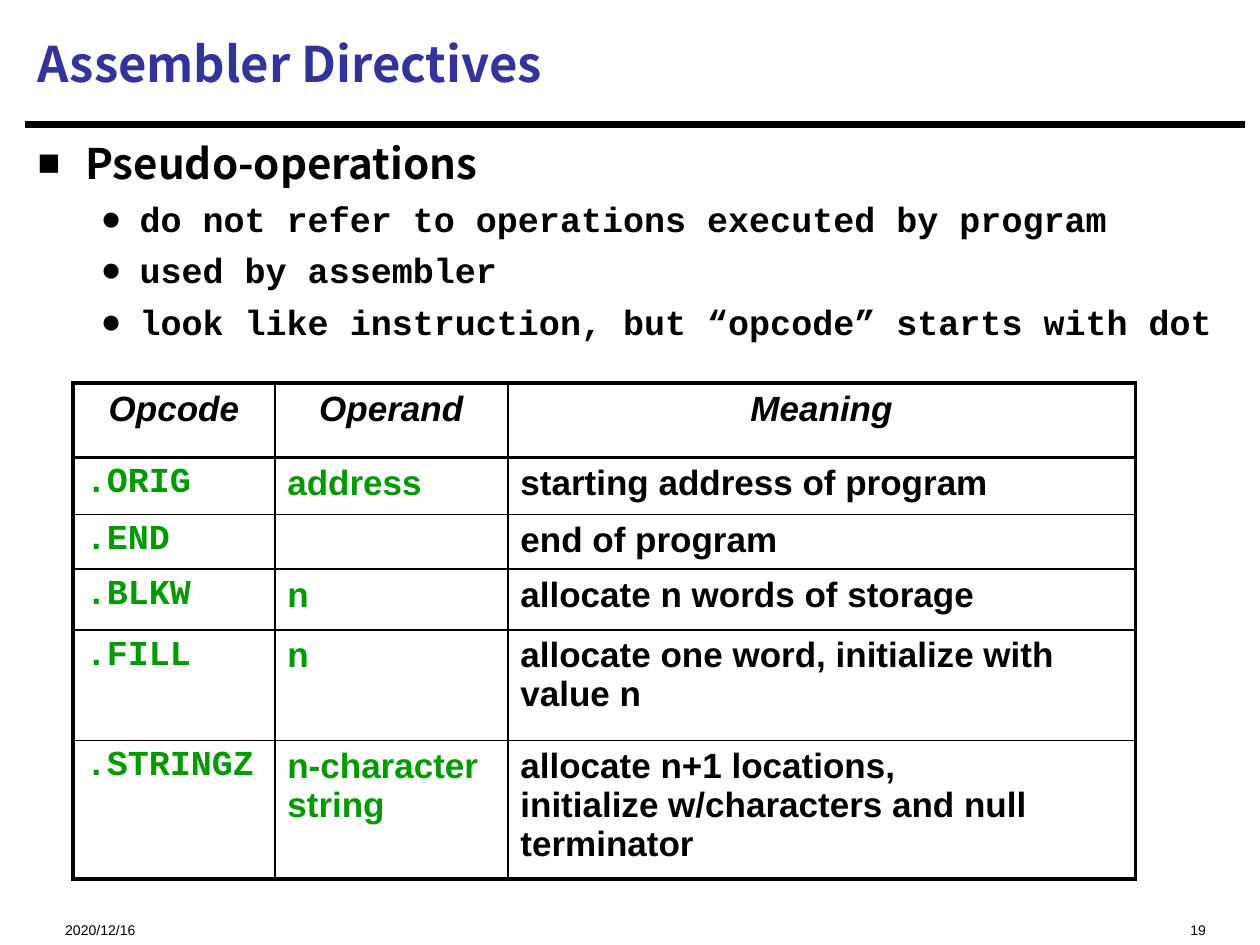
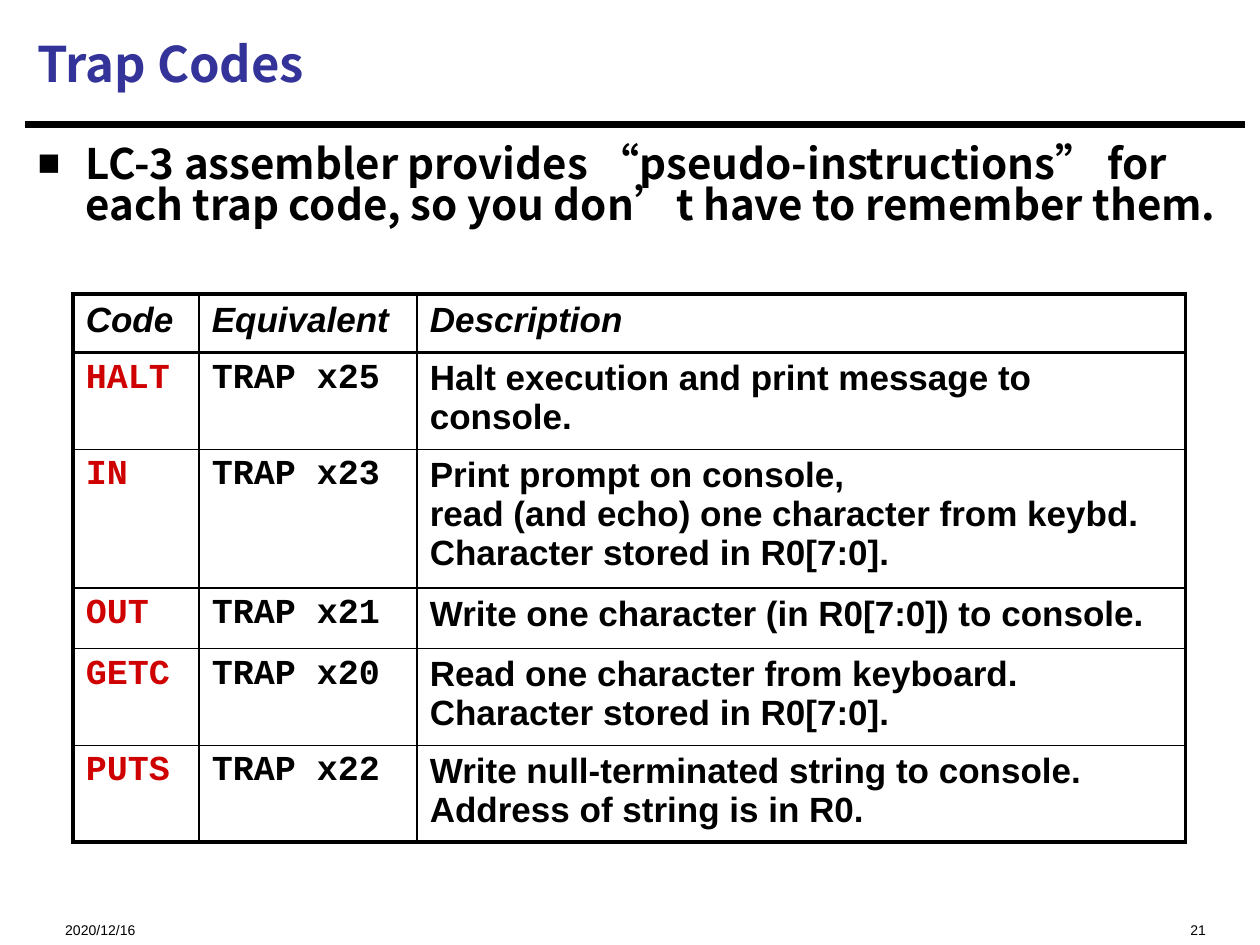
from pptx import Presentation
from pptx.dml.color import RGBColor
from pptx.enum.shapes import MSO_CONNECTOR
from pptx.enum.text import MSO_ANCHOR, PP_ALIGN
from pptx.oxml.ns import qn
from pptx.util import Pt
from lxml import etree

LEFT, CENTER, RIGHT = PP_ALIGN.LEFT, PP_ALIGN.CENTER, PP_ALIGN.RIGHT
TOP, MIDDLE = MSO_ANCHOR.TOP, MSO_ANCHOR.MIDDLE
STRAIGHT = MSO_CONNECTOR.STRAIGHT

COLORS = {"black": "000000", "title": "333399", "directive": "009900", "trap": "CE0000"}
HEADING_FONT, SANS, MONO = "Noto Sans CJK SC", "Arial", "Courier New"
THICK, THIN = 2.25, 1

# Bullet levels: symbol, size %, left margin, hanging indent, font, size, space before, line spacing
LEVELS = [
    ("■", 90, 27.4, 27.4, HEADING_FONT, 24, 5, 0.82),
    ("●", 100, 58.3, 22.3, MONO, 20, 5.5, 1.0),
]


class LectureDeck:
    def __init__(self):
        self.deck = Presentation()
        self.deck.slide_width, self.deck.slide_height = Pt(720), Pt(540)
        self.page = None

    def add_page(self, title, number):
        """Start a slide with the shared rule, footer and title."""
        self.page = self.deck.slides.add_slide(self.deck.slide_layouts[6])
        self.rule(14.4, 71.3, 711.4)
        self.label("2020/12/16", (30.2, 514.8, 180, 19.4), LEFT)
        self.label(number, (480.2, 514.8, 216, 19.4), RIGHT)
        frame = self.text_box((14.4, 5.8, 696.2, 60.5), MIDDLE)
        self.add_text(frame.paragraphs[0], title, HEADING_FONT, 28, "title", bold=True)

    def rule(self, left, top, right):
        line = self.page.shapes.add_connector(STRAIGHT, Pt(left), Pt(top), Pt(right), Pt(top))
        line.line.color.rgb = RGBColor.from_string(COLORS["black"])
        line.line.width = Pt(3.75)
        etree.SubElement(line._element.spPr, qn("a:effectLst"))

    def text_box(self, bounds, anchor=TOP, inset_top=3.6, inset_bottom=3.6):
        box = self.page.shapes.add_textbox(*map(Pt, bounds))
        frame = box.text_frame
        frame.word_wrap = True
        frame.vertical_anchor = anchor
        frame.margin_top, frame.margin_bottom = Pt(inset_top), Pt(inset_bottom)
        return frame

    def label(self, text, bounds, align):
        frame = self.text_box(bounds, inset_top=13.5, inset_bottom=0)
        frame.paragraphs[0].alignment = align
        self.add_text(frame.paragraphs[0], text, SANS, 8, "black")

    def add_text(self, para, text, font, size, color, bold=False, italic=False):
        """Add one run per line, with line breaks in between."""
        for index, line in enumerate(text.split("\n")):
            if index:
                para.add_line_break()
            span = para.add_run()
            span.text = line
            span.font.name, span.font.size = font, Pt(size)
            span.font.bold, span.font.italic = bold, italic
            span.font.color.rgb = RGBColor.from_string(COLORS[color])
            etree.SubElement(span._r.get_or_add_rPr(), qn("a:ea"), typeface=font)

    def bullets(self, items, height):
        frame = self.text_box((14.4, 77, 696.2, height), inset_top=6.6)
        for index, (level, text) in enumerate(items):
            symbol, percent, margin, hang, font, size, before, spacing = LEVELS[level]
            para = frame.add_paragraph() if index else frame.paragraphs[0]
            para.level = level
            para.line_spacing = spacing
            if index:
                para.space_before = Pt(before)
            props = para._p.get_or_add_pPr()
            props.set("marL", str(Pt(margin)))
            props.set("indent", str(-Pt(hang)))
            etree.SubElement(props, qn("a:buSzPct"), val=str(percent * 1000))
            etree.SubElement(props, qn("a:buFont"), typeface=SANS)
            etree.SubElement(props, qn("a:buChar"), char=symbol)
            self.add_text(para, text, font, size, "black", bold=True)

    def table(self, top, widths, heights, rows, column_styles, header_align):
        shape = self.page.shapes.add_table(len(rows), len(widths), Pt(41.8), Pt(top),
                                           Pt(sum(widths)), Pt(sum(heights)))
        grid = shape.table
        grid.first_row = grid.horz_banding = False
        for column, width in zip(grid.columns, widths):
            column.width = Pt(width)
        for row, height in zip(grid.rows, heights):
            row.height = Pt(height)
        last_row, last_column = len(rows) - 1, len(widths) - 1
        for r, texts in enumerate(rows):
            for c, text in enumerate(texts):
                cell = grid.cell(r, c)
                font, color = column_styles[c] if r else (SANS, "black")
                para = cell.text_frame.paragraphs[0]
                para.alignment = LEFT if r else header_align
                if text:
                    self.add_text(para, text, font, 20, color, bold=True, italic=r == 0)
                # Thick frame and header rule, thin inner lines
                self.borders(cell, {"L": c == 0, "R": c == last_column,
                                    "T": r <= 1, "B": r in (0, last_row)})
                cell.fill.background()

    def borders(self, cell, thick_sides):
        props = cell._tc.get_or_add_tcPr()
        for side, thick in thick_sides.items():
            width = Pt(THICK if thick else THIN)
            line = etree.SubElement(props, qn("a:ln" + side), w=str(width))
            fill = etree.SubElement(line, qn("a:solidFill"))
            etree.SubElement(fill, qn("a:srgbClr"), val=COLORS["black"])


def main():
    lecture = LectureDeck()

    # Assembler directives
    lecture.add_page("Assembler Directives", "19")
    lecture.bullets([
        (0, "Pseudo-operations"),
        (1, "do not refer to operations executed by program"),
        (1, "used by assembler"),
        (1, "look like instruction, but “opcode” starts with dot"),
    ], 141.8)
    lecture.table(218.9, [115.2, 133.2, 358.6], [42.5, 32.6, 31, 34.7, 63.2, 79.2], [
        ("Opcode", "Operand", "Meaning"),
        (".ORIG", "address", "starting address of program"),
        (".END", "", "end of program"),
        (".BLKW", "n", "allocate n words of storage"),
        (".FILL", "n", "allocate one word, initialize with value n"),
        (".STRINGZ", "n-character\nstring",
         "allocate n+1 locations,\ninitialize w/characters and null terminator"),
    ], [(MONO, "directive"), (SANS, "directive"), (SANS, "black")], CENTER)

    # Trap codes
    lecture.add_page("Trap Codes", "21")
    lecture.bullets([
        (0, "LC-3 assembler provides “pseudo-instructions” for\n"
            "each trap code, so you don’t have to remember them."),
    ], 431.3)
    lecture.table(168, [72, 124.6, 439.2], [33.5, 55.3, 79.2, 34.6, 55.3, 55.3], [
        ("Code", "Equivalent", "Description"),
        ("HALT", "TRAP x25", "Halt execution and print message to console."),
        ("IN", "TRAP x23", "Print prompt on console,\nread (and echo) one character from keybd.\n"
                           "Character stored in R0[7:0]."),
        ("OUT", "TRAP x21", "Write one character (in R0[7:0]) to console."),
        ("GETC", "TRAP x20", "Read one character from keyboard.\nCharacter stored in R0[7:0]."),
        ("PUTS", "TRAP x22", "Write null-terminated string to console.\nAddress of string is in R0."),
    ], [(MONO, "trap"), (MONO, "black"), (SANS, "black")], LEFT)

    lecture.deck.save("out.pptx")


if __name__ == "__main__":
    main()
